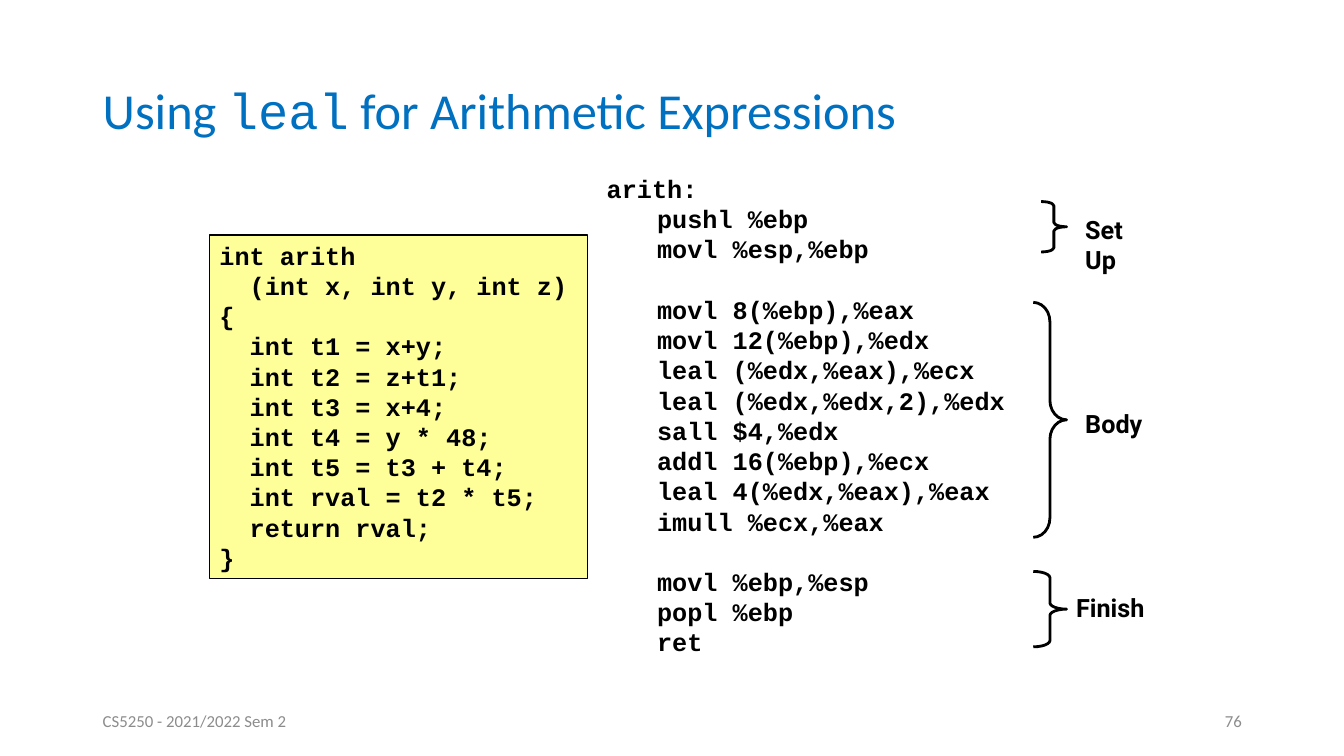
from pptx import Presentation
from pptx.dml.color import RGBColor
from pptx.enum import shapes, text
from pptx.util import Cm, Pt

MONO = dict(name="Courier New", size=Pt(18), bold=True)
LABEL = dict(name="Roboto", size=Pt(18), bold=True)
SMALL = dict(name="Calibri", size=Pt(12))
HEAD = dict(name="Calibri", size=Pt(36))
PITCH = Pt(21.6)

CODE = """int arith
  (int x, int y, int z)
{
  int t1 = x+y;
  int t2 = z+t1;
  int t3 = x+4;
  int t4 = y * 48;
  int t5 = t3 + t4;
  int rval = t2 * t5;
  return rval;
}"""

# Assembly code, one list per stage
STAGES = [
    ["pushl %ebp", "movl %esp,%ebp"],
    ["movl 8(%ebp),%eax", "movl 12(%ebp),%edx", "leal (%edx,%eax),%ecx",
     "leal (%edx,%edx,2),%edx", "sall $4,%edx", "addl 16(%ebp),%ecx",
     "leal 4(%edx,%eax),%eax", "imull %ecx,%eax"],
    ["movl %ebp,%esp", "popl %ebp", "ret"],
]

# Brace box, brace curve, label box, label lines
MARKS = [
    ((26.24, 5.08, 0.64, 1.27), 0.167, (27.1, 5.28, 1.5, 1.78), ["Set", "Up"]),
    ((26.04, 7.62, 0.84, 5.92), 0.583, (27.1, 10.16, 2.11, 1.02), ["Body"]),
    ((26.04, 14.4, 0.84, 1.9), 0.188, (26.87, 14.81, 2.39, 1.02), ["Finish"]),
]


def color(code):
    return RGBColor.from_string(code)


def style(font, form, shade):
    for key, value in form.items():
        setattr(font, key, value)
    font.color.rgb = color(shade)


def frame(slide, box, wrap=True, mid=False):
    body = slide.shapes.add_textbox(*map(Cm, box)).text_frame
    body.word_wrap = wrap
    if mid:
        body.vertical_anchor = text.MSO_ANCHOR.MIDDLE
    return body


def write(body, lines, form, shade="000000", pitch=None):
    """Fill a text frame, one paragraph a line, and return the paragraphs."""
    for i, line in enumerate(lines):
        para = body.add_paragraph() if i else body.paragraphs[0]
        para.alignment = text.PP_ALIGN.LEFT
        para.line_spacing = pitch
        run = para.add_run()
        run.text = line
        style(run.font, form, shade)
    return body.paragraphs


def outline(shape, width):
    shape.shadow.inherit = False
    shape.line.color.rgb = color("000000")
    shape.line.width = Pt(width)


def title(slide, box):
    para = frame(slide, box, mid=True).paragraphs[0]
    para.line_spacing = 0.9
    for word, face in (("Using ", "Calibri"), ("leal", "Courier New"),
                       (" for Arithmetic Expressions", "Calibri")):
        run = para.add_run()
        run.text = word
        style(run.font, {**HEAD, "name": face}, "0070C0")


def source(slide, box):
    panel = slide.shapes.add_shape(shapes.MSO_SHAPE.RECTANGLE, *map(Cm, box))
    panel.fill.solid()
    panel.fill.fore_color.rgb = color("FFFF99")
    outline(panel, 1)
    body = panel.text_frame
    body.word_wrap = True
    body.vertical_anchor = text.MSO_ANCHOR.TOP
    write(body, CODE.split("\n"), MONO, pitch=PITCH)


def listing(slide, box):
    lines = ["arith:"] + sum(STAGES, [])
    paras = write(frame(slide, box), lines, MONO, pitch=PITCH)
    for para in paras[1:]:
        para._p.get_or_add_pPr().set("marL", str(Cm(1.27)))
    # One line of space ahead of each later stage
    start = 1
    for stage in STAGES[:-1]:
        start += len(stage)
        paras[start].space_before = PITCH


def mark(slide, box, curve, spot, lines):
    brace = slide.shapes.add_shape(shapes.MSO_SHAPE.RIGHT_BRACE, *map(Cm, box))
    brace.adjustments[0] = curve
    brace.fill.background()
    outline(brace, 2)
    write(frame(slide, spot, wrap=False), lines, LABEL)


def footer(slide, box):
    left, top, width, height = box
    part = 7.62
    write(frame(slide, (left, top, part, height), mid=True),
          ["CS5250 - 2021/2022 Sem 2"], SMALL, "8C8C8C")
    page = frame(slide, (left + width - part, top, part, height), mid=True)
    write(page, ["76"], SMALL, "8C8C8C")[0].alignment = text.PP_ALIGN.RIGHT


def main():
    deck = Presentation()
    deck.slide_width, deck.slide_height = Cm(33.87), Cm(19.05)
    slide = deck.slides.add_slide(deck.slide_layouts[6])
    title(slide, (2.34, 1.02, 29.21, 3.68))
    footer(slide, (2.34, 17.65, 29.21, 1.02))
    source(slide, (5.28, 5.92, 9.53, 8.66))
    listing(slide, (15.04, 4.24, 11.43, 12.45))
    for item in MARKS:
        mark(slide, *item)
    deck.save("out.pptx")


if __name__ == "__main__":
    main()
